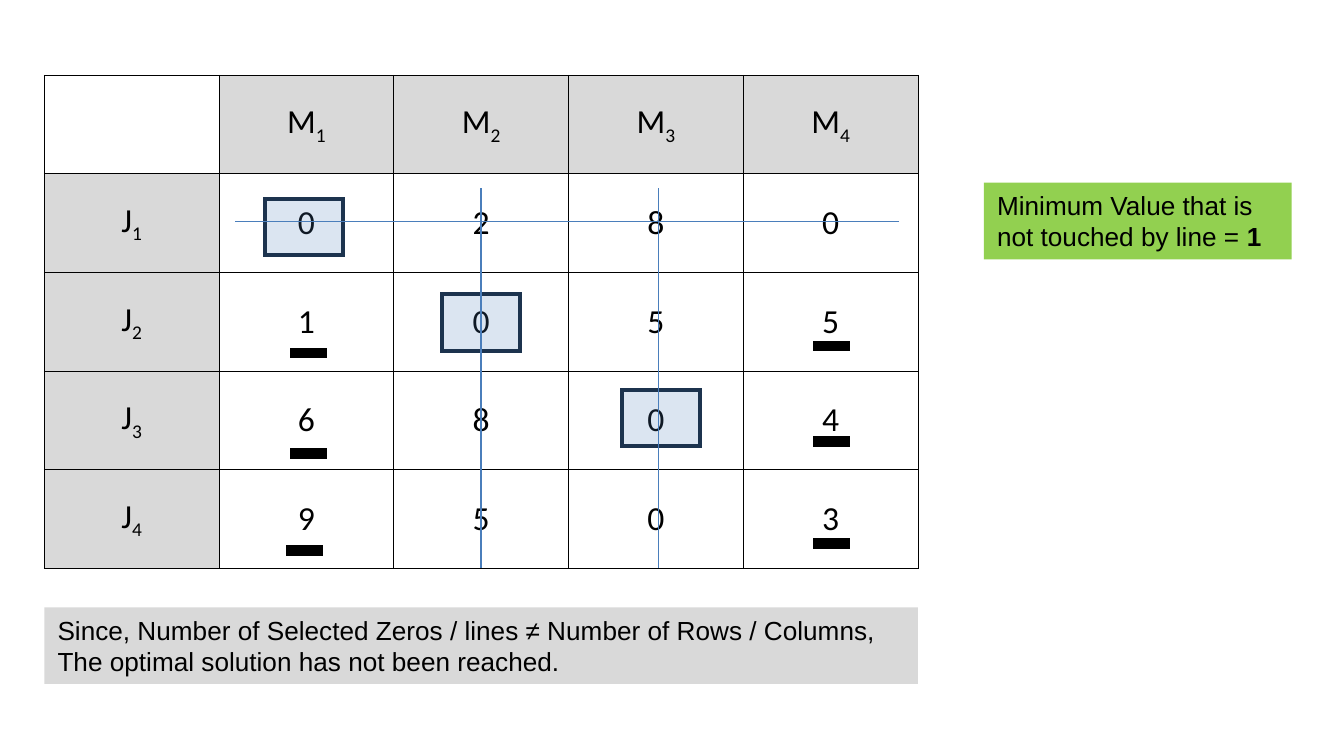
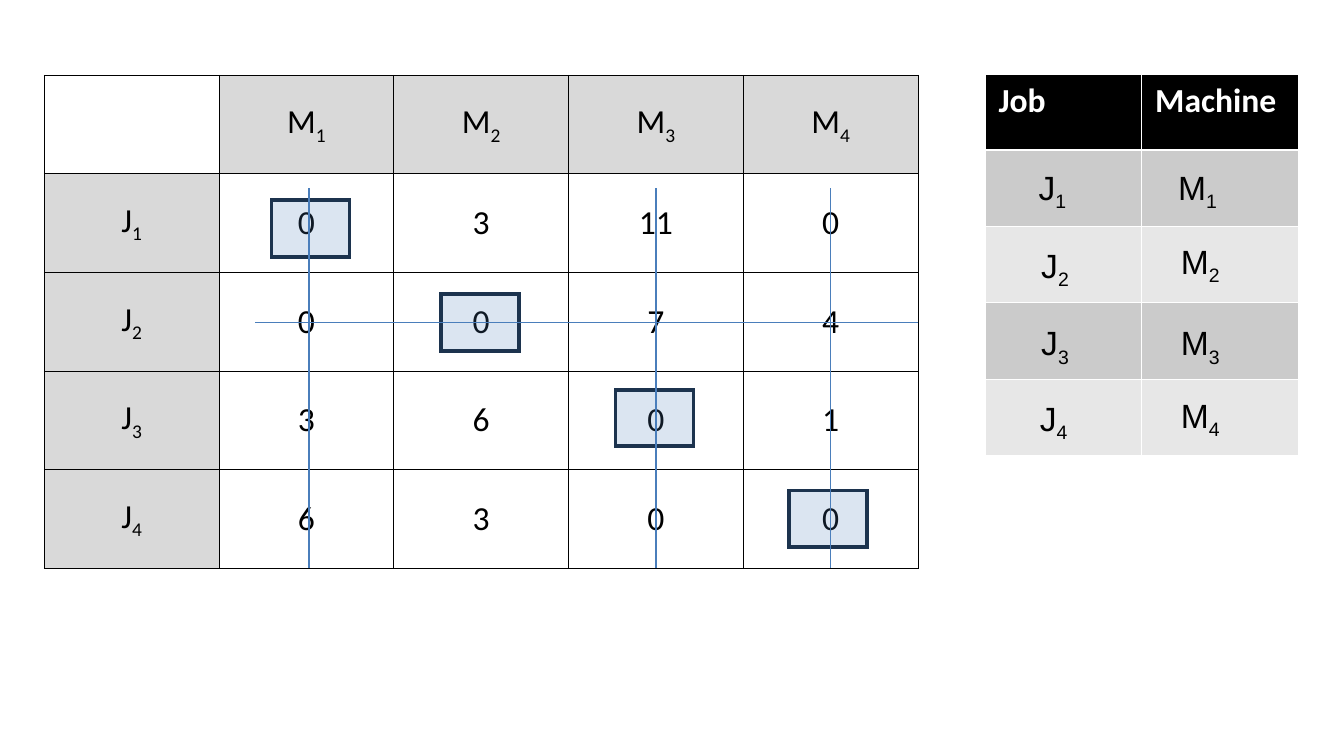
from typing import NamedTuple

from lxml import etree
from pptx import Presentation
from pptx.dml.color import RGBColor
from pptx.enum.shapes import MSO_CONNECTOR, MSO_SHAPE
from pptx.enum.text import MSO_ANCHOR, MSO_AUTO_SIZE, PP_ALIGN
from pptx.oxml.ns import qn
from pptx.util import Inches, Pt

RECTANGLE = MSO_SHAPE.RECTANGLE
STRAIGHT = MSO_CONNECTOR.STRAIGHT
CENTER = PP_ALIGN.CENTER
LEFT = PP_ALIGN.LEFT
MIDDLE = MSO_ANCHOR.MIDDLE
TOP = MSO_ANCHOR.TOP
GROW = MSO_AUTO_SIZE.SHAPE_TO_FIT_TEXT

BLACK, WHITE = "000000", "FFFFFF"
HEADER_GRAY, GREEN = "D9D9D9", "92D050"
BOX_BLUE, BOX_EDGE, LINE_BLUE = "4F81BD", "1C334E", "4A7EBB"
BAND_DARK, BAND_LIGHT = "CBCBCB", "E7E7E7"
BODY_FONT, TABLE_FONT = "Arial", "Calibri"
THIN, THICK = 0.45, 1.47
ROWS = 5


class Point(NamedTuple):
    left: float
    top: float


class CoverLine(NamedTuple):
    start: Point
    end: Point


class Note(NamedTuple):
    left: float
    top: float
    width: float
    fill: str
    paragraphs: list[list[tuple[str, bool]]]


class Assignment(NamedTuple):
    number: int
    job: Point
    machine: Point


class CostSlide(NamedTuple):
    costs: list[list[int]]
    selected_zeros: list[Point]
    cover_lines: list[CoverLine]
    underlines: list[Point]
    notes: list[Note]
    assignments: list[Assignment]


def column_line(left: float) -> CoverLine:
    return CoverLine(Point(left, 1.4), Point(left, 4.23))


SLIDES = [
    CostSlide(
        costs=[[0, 2, 8, 0], [1, 0, 5, 5], [6, 8, 0, 4], [9, 5, 0, 3]],
        selected_zeros=[Point(1.97, 1.48), Point(3.29, 2.19), Point(4.63, 2.9)],
        cover_lines=[column_line(3.58), column_line(4.9),
                     CoverLine(Point(6.69, 1.65), Point(1.75, 1.65))],
        underlines=[Point(2.17, 2.6), Point(2.17, 3.35), Point(2.14, 4.07),
                    Point(6.06, 2.55), Point(6.06, 3.26), Point(6.06, 4.02)],
        notes=[
            Note(0.33, 4.52, 6.5, HEADER_GRAY, [
                [("Since, Number of Selected Zeros / lines ≠ Number of Rows / Columns,", False)],
                [("The optimal solution has not been reached.", False)],
            ]),
            Note(7.32, 1.36, 2.29, GREEN, [
                [("Minimum Value that is not touched by line = ", False), ("1", True)],
            ]),
        ],
        assignments=[],
    ),
    CostSlide(
        costs=[[0, 3, 11, 0], [0, 0, 7, 4], [3, 6, 0, 1], [6, 3, 0, 0]],
        selected_zeros=[Point(2.02, 1.49), Point(3.28, 2.19), Point(4.58, 2.9), Point(5.87, 3.65)],
        cover_lines=[column_line(2.3), column_line(4.88), column_line(6.18),
                     CoverLine(Point(6.83, 2.4), Point(1.9, 2.4))],
        underlines=[],
        notes=[],
        assignments=[
            Assignment(1, Point(7.54, 1.19), Point(8.62, 1.19)),
            Assignment(2, Point(7.56, 1.77), Point(8.64, 1.74)),
            Assignment(3, Point(7.56, 2.35), Point(8.64, 2.35)),
            Assignment(4, Point(7.55, 2.91), Point(8.64, 2.89)),
        ],
    ),
]


def color(value: str) -> RGBColor:
    return RGBColor.from_string(value)


def add_run(paragraph, text: str, size: float, font: str, ink: str = BLACK,
            bold: bool = False, subscript: bool = False) -> None:
    run = paragraph.add_run()
    run.text = text
    run.font.size = Pt(size)
    run.font.name = font
    run.font.bold = bold
    run.font.color.rgb = color(ink)
    if subscript:
        run.font._element.set("baseline", "-25000")


def add_indexed(paragraph, letter: str, number: int, font: str) -> None:
    paragraph.alignment = CENTER
    add_run(paragraph, letter, 18, font)
    add_run(paragraph, str(number), 18, font, subscript=True)


def set_borders(cell, ink: str, top: float = THIN, bottom: float = THIN) -> None:
    properties = cell._tc.get_or_add_tcPr()
    for side, width in (("L", THIN), ("R", THIN), ("T", top), ("B", bottom)):
        line = etree.SubElement(properties, qn(f"a:ln{side}"), w=str(Pt(width)))
        fill = etree.SubElement(line, qn("a:solidFill"))
        etree.SubElement(fill, qn("a:srgbClr"), val=ink)


def set_fill(cell, fill: str | None) -> None:
    if fill is None:
        cell.fill.background()
    else:
        cell.fill.solid()
        cell.fill.fore_color.rgb = color(fill)


def add_grid(slide, corner: Point, columns: int, width: float, height: float):
    table = slide.shapes.add_table(
        ROWS, columns, Inches(corner.left), Inches(corner.top),
        Inches(width), Inches(height)).table
    table.first_row = False
    table.horz_banding = False
    return table


def add_cost_table(slide, costs: list[list[int]]) -> None:
    table = add_grid(slide, Point(0.33, 0.56), 5, 6.5, 3.67)
    for row in range(ROWS):
        for column in range(5):
            cell = table.cell(row, column)
            cell.vertical_anchor = MIDDLE
            set_borders(cell, BLACK)
            is_corner = row == column == 0
            is_header = (row == 0 or column == 0) and not is_corner
            set_fill(cell, HEADER_GRAY if is_header else None)
            paragraph = cell.text_frame.paragraphs[0]
            if is_header:
                add_indexed(paragraph, "J" if column == 0 else "M", row + column, TABLE_FONT)
            elif not is_corner:
                paragraph.alignment = CENTER
                add_run(paragraph, str(costs[row - 1][column - 1]), 18, TABLE_FONT)


def add_rectangle(slide, corner: Point, width: float, height: float, fill: str,
                  edge: str | None = None, opacity: int = 100):
    shape = slide.shapes.add_shape(
        RECTANGLE, Inches(corner.left), Inches(corner.top), Inches(width), Inches(height))
    shape.shadow.inherit = False
    shape.fill.solid()
    shape.fill.fore_color.rgb = color(fill)
    if opacity < 100:
        fill_color = shape._element.spPr.find(f".//{qn('a:srgbClr')}")
        etree.SubElement(fill_color, qn("a:alpha"), val=str(opacity * 1000))
    if edge is None:
        shape.line.fill.background()
    else:
        shape.line.color.rgb = color(edge)
        shape.line.width = Pt(2)
        outline = shape._element.spPr.find(qn("a:ln"))
        etree.SubElement(outline, qn("a:miter"), lim="800000")
    return shape


def add_cover_line(slide, cover_line: CoverLine) -> None:
    start, end = cover_line
    connector = slide.shapes.add_connector(
        STRAIGHT, Inches(start.left), Inches(start.top), Inches(end.left), Inches(end.top))
    connector.line.color.rgb = color(LINE_BLUE)
    connector.line.width = Pt(0.75)
    etree.SubElement(connector._element.spPr, qn("a:effectLst"))


def add_note(slide, note: Note) -> None:
    shape = add_rectangle(slide, Point(note.left, note.top), note.width, 0.57, note.fill)
    frame = shape.text_frame
    frame.word_wrap = True
    frame.auto_size = GROW
    frame.vertical_anchor = TOP
    for index, runs in enumerate(note.paragraphs):
        paragraph = frame.add_paragraph() if index else frame.paragraphs[0]
        paragraph.alignment = LEFT
        for text, bold in runs:
            add_run(paragraph, text, 14, BODY_FONT, bold=bold)


def add_label(slide, corner: Point, letter: str, number: int) -> None:
    box = slide.shapes.add_textbox(
        Inches(corner.left), Inches(corner.top), Inches(0.58), Inches(0.44))
    box.text_frame.word_wrap = True
    box.text_frame.auto_size = GROW
    add_indexed(box.text_frame.paragraphs[0], letter, number, BODY_FONT)


def add_assignment_table(slide, assignments: list[Assignment]) -> None:
    table = add_grid(slide, Point(7.33, 0.55), 2, 2.33, 2.84)
    for column, heading in enumerate(("Job", "Machine")):
        for row in range(ROWS):
            cell = table.cell(row, column)
            set_borders(cell, WHITE, top=THICK if row == 1 else THIN,
                        bottom=THICK if row == 0 else THIN)
            if row == 0:
                set_fill(cell, BLACK)
                add_run(cell.text_frame.paragraphs[0], heading, 18, TABLE_FONT, WHITE, bold=True)
            else:
                set_fill(cell, BAND_DARK if row % 2 else BAND_LIGHT)
    for assignment in assignments:
        add_label(slide, assignment.job, "J", assignment.number)
        add_label(slide, assignment.machine, "M", assignment.number)


def build_slide(presentation, content: CostSlide) -> None:
    slide = presentation.slides.add_slide(presentation.slide_layouts[6])
    add_cost_table(slide, content.costs)
    for corner in content.selected_zeros:
        add_rectangle(slide, corner, 0.58, 0.42, BOX_BLUE, BOX_EDGE, opacity=20)
    for cover_line in content.cover_lines:
        add_cover_line(slide, cover_line)
    for corner in content.underlines:
        add_rectangle(slide, corner, 0.25, 0.05, BLACK, BLACK)
    for note in content.notes:
        add_note(slide, note)
    if content.assignments:
        add_assignment_table(slide, content.assignments)


def main() -> None:
    presentation = Presentation()
    presentation.slide_width = Inches(10)
    presentation.slide_height = Inches(10) * 9 // 16
    for content in SLIDES:
        build_slide(presentation, content)
    presentation.save("out.pptx")


if __name__ == "__main__":
    main()
